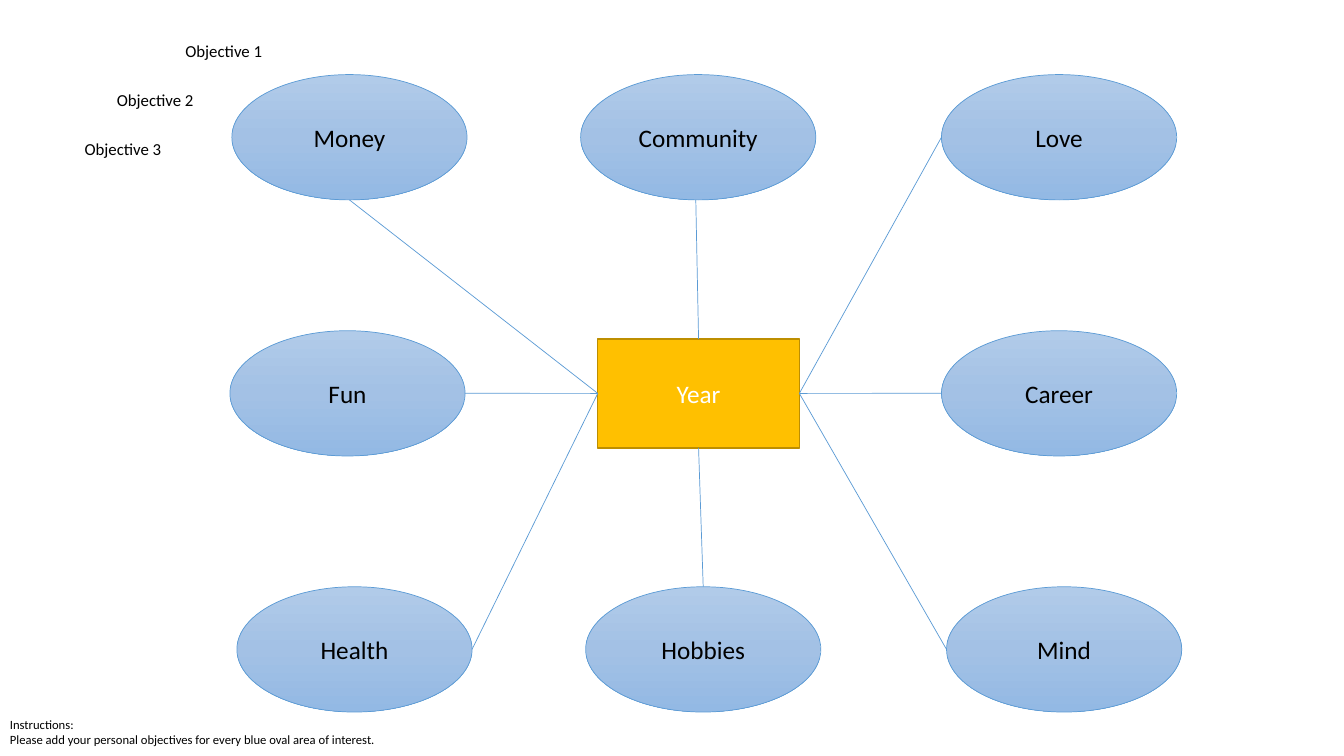
from copy import deepcopy

from pptx import Presentation
from pptx.dml.color import RGBColor
from pptx.enum.shapes import MSO_CONNECTOR, MSO_SHAPE
from pptx.enum.text import MSO_ANCHOR, MSO_AUTO_SIZE, PP_ALIGN
from pptx.oxml.ns import qn
from pptx.util import Pt

BLACK = RGBColor(0x00, 0x00, 0x00)
WHITE = RGBColor(0xFF, 0xFF, 0xFF)
GOLD = RGBColor(0xFF, 0xC0, 0x00)
DARK_GOLD = RGBColor(0xBD, 0x8E, 0x00)
BLUE = RGBColor(0x5B, 0x9B, 0xD5)
OVAL_GRADIENT = [
    (0, RGBColor(0xB1, 0xCB, 0xE9)),
    (0.5, RGBColor(0xA3, 0xC1, 0xE5)),
    (1, RGBColor(0x93, 0xB9, 0xE4)),
]

LABEL = {"name": "Calibri", "size": Pt(18)}
OBJECTIVE = {"name": "Calibri", "size": Pt(12)}
INSTRUCTION = {"name": "Calibri", "size": Pt(9)}

OVAL_WIDTH, OVAL_HEIGHT = 168, 89.5
ROW_PITCH = 182.9

# Year box relative to the map: left, top, width, height
YEAR_BOX = (262.8, 188.8, 144, 77.8)

# Points on a box as fractions of its width and height
TOP, BOTTOM, LEFT, RIGHT = (0.5, 0), (0.5, 1), (0, 0.5), (1, 0.5)

# Area of interest, left, row, anchor on the oval, anchor on the year box
AREAS = [
    ("Money", 1.4, 0, BOTTOM, LEFT),
    ("Community", 250.5, 0, (0.49, 1), TOP),
    ("Love", 508.3, 0, LEFT, RIGHT),
    ("Fun", 0, 1, RIGHT, LEFT),
    ("Career", 508.3, 1, LEFT, RIGHT),
    ("Health", 5, 2, RIGHT, LEFT),
    ("Hobbies", 254.1, 2, TOP, BOTTOM),
    ("Mind", 511.9, 2, LEFT, RIGHT),
]

# Objective, left and top relative to the objectives region
OBJECTIVES = [
    ("Objective 1", 72, 0),
    ("Objective 2", 23, 35.3),
    ("Objective 3", 0, 70.6),
]


def write_text(shape, text, font_format, color):
    paragraph = shape.text_frame.paragraphs[0]
    paragraph.text = text
    for run in paragraph.runs:
        for attribute, value in font_format.items():
            setattr(run.font, attribute, value)
        run.font.color.rgb = color
    return paragraph


def add_node(slide, kind, box, text, text_color, line_color, line_width):
    shape = slide.shapes.add_shape(kind, *map(Pt, box))
    shape.shadow.inherit = False
    shape.line.color.rgb = line_color
    shape.line.width = Pt(line_width)
    shape.text_frame.vertical_anchor = MSO_ANCHOR.MIDDLE
    write_text(shape, text, LABEL, text_color).alignment = PP_ALIGN.CENTER
    return shape


def fill_oval(shape):
    shape.fill.gradient()
    shape.fill.gradient_angle = 270
    first_stop = next(shape._element.spPr.iter(qn("a:gs")))
    first_stop.addnext(deepcopy(first_stop))
    for stop, (position, color) in zip(shape.fill.gradient_stops, OVAL_GRADIENT):
        stop.position = position
        stop.color.rgb = color


def point_on(box, anchor):
    left, top, width, height = box
    return Pt(left + width * anchor[0]), Pt(top + height * anchor[1])


def add_link(slide, start, end):
    connector = slide.shapes.add_connector(MSO_CONNECTOR.STRAIGHT, *start, *end)
    connector.line.color.rgb = BLUE
    connector.line.width = Pt(0.5)
    properties = connector._element.spPr
    properties.append(properties.makeelement(qn("a:effectLst"), {}))


def add_label(slide, box, text, font_format):
    label = slide.shapes.add_textbox(*map(Pt, box))
    label.text_frame.word_wrap = False
    label.text_frame.auto_size = MSO_AUTO_SIZE.SHAPE_TO_FIT_TEXT
    write_text(label, text, font_format, BLACK)


def add_interest_map(slide, left, top):
    year_left, year_top, *year_size = YEAR_BOX
    year_box = (left + year_left, top + year_top, *year_size)
    year = add_node(slide, MSO_SHAPE.RECTANGLE, year_box, "Year", WHITE, DARK_GOLD, 1)
    year.fill.solid()
    year.fill.fore_color.rgb = GOLD
    for name, offset, row, oval_anchor, year_anchor in AREAS:
        box = (left + offset, top + row * ROW_PITCH, OVAL_WIDTH, OVAL_HEIGHT)
        fill_oval(add_node(slide, MSO_SHAPE.OVAL, box, name, BLACK, BLUE, 0.5))
        add_link(slide, point_on(box, oval_anchor), point_on(year_box, year_anchor))


def add_objectives(slide, left, top):
    for text, across, down in OBJECTIVES:
        add_label(slide, (left + across, top + down, 70.6, 21.8), text, OBJECTIVE)


def add_instructions(slide, box):
    text = ("Instructions:\v"
            "Please add your personal objectives for every blue oval area of interest.")
    add_label(slide, box, text, INSTRUCTION)


presentation = Presentation()
presentation.slide_width, presentation.slide_height = Pt(960), Pt(540)
slide = presentation.slides.add_slide(presentation.slide_layouts[6])

add_interest_map(slide, 164.2, 53.3)
add_objectives(slide, 53.3, 25.2)
add_instructions(slide, (0, 508.3, 278.6, 29))

presentation.save("out.pptx")
